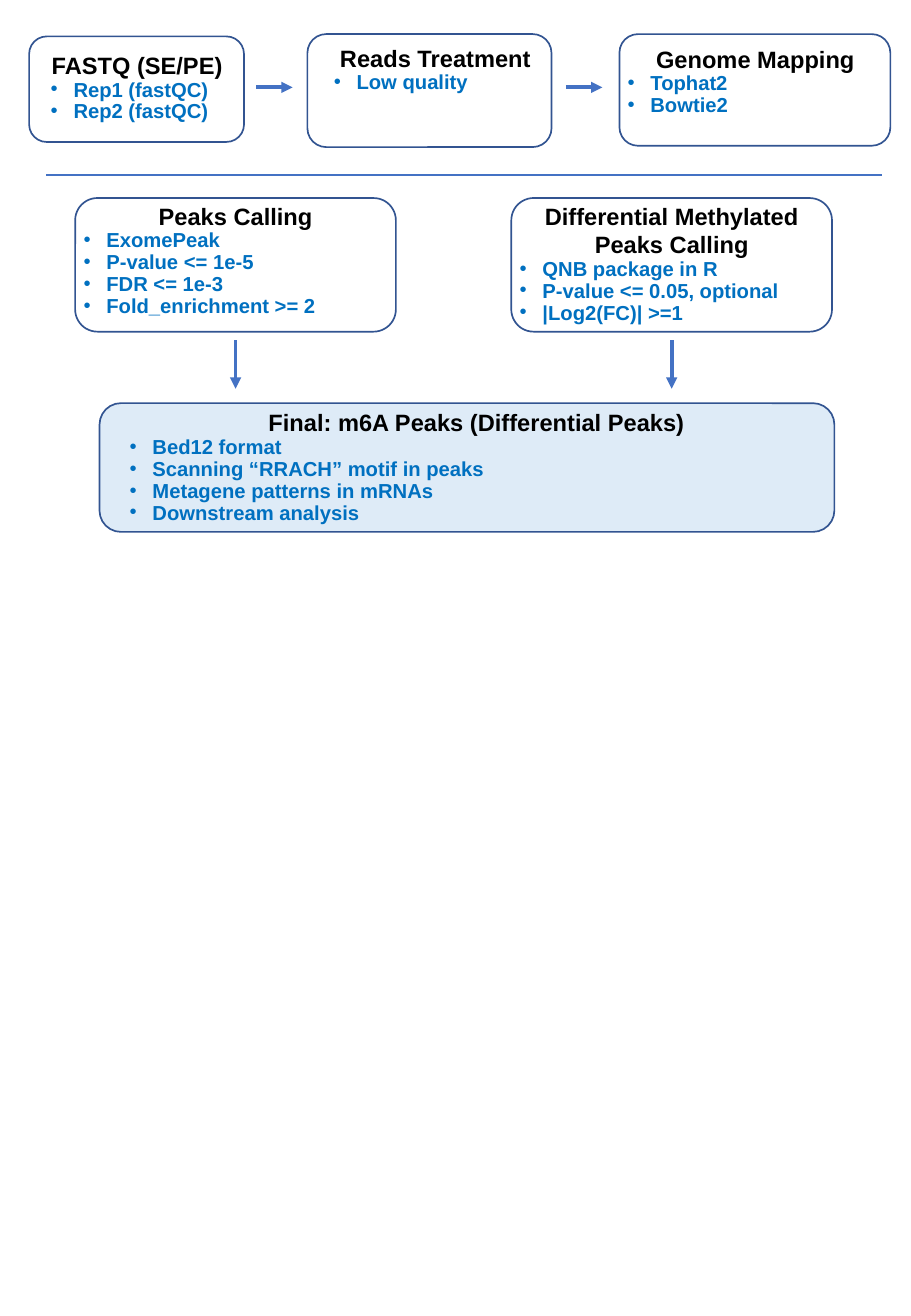
from pptx import Presentation
from pptx.dml.color import RGBColor
from pptx.enum.shapes import MSO_CONNECTOR as Connector, MSO_SHAPE as Shape
from pptx.enum.text import MSO_AUTO_SIZE as AutoSize, PP_ALIGN as Align
from pptx.oxml.ns import qn
from pptx.util import Pt
from lxml.etree import SubElement


def color(value):
    return RGBColor.from_string(value)


def apply(target, values):
    for name, value in values.items():
        setattr(target, name, value)


class Flowchart:
    outline, arrow, panel = "325491", "4472C4", "DEEBF7"
    heading_font = {"name": "Arial", "size": Pt(14), "bold": True}
    item_font = {"name": "Arial", "size": Pt(12), "bold": True}
    heading_color, item_color = "000000", "0070C0"
    indent = Pt(13.5)

    def __init__(self, slide):
        self.slide = slide

    def step(self, frame, text_frame, heading, items, wrap=True, fill=None):
        group = self.slide.shapes.add_group_shape()
        self.box(group, frame, fill)
        self.text(group, text_frame, heading, items, wrap)

    def box(self, group, frame, fill):
        shape = group.shapes.add_shape(Shape.ROUNDED_RECTANGLE, *map(Pt, frame))
        shape.shadow.inherit = False
        if fill:
            shape.fill.solid()
            shape.fill.fore_color.rgb = color(fill)
        else:
            shape.fill.background()
        shape.line.color.rgb = color(self.outline)
        shape.line.width = Pt(1)

    def text(self, group, frame, heading, items, wrap):
        text_frame = group.shapes.add_textbox(*map(Pt, frame)).text_frame
        apply(text_frame, {"word_wrap": wrap, "auto_size": AutoSize.SHAPE_TO_FIT_TEXT})
        paragraph = text_frame.paragraphs[0]
        paragraph.alignment = Align.CENTER
        self.run(paragraph, heading, self.heading_font, self.heading_color)
        for item in items:
            paragraph = text_frame.add_paragraph()
            paragraph.line_spacing = Pt(13)
            self.bullet(paragraph)
            self.run(paragraph, item, self.item_font, self.item_color)

    def run(self, paragraph, text, font, font_color):
        run = paragraph.add_run()
        run.text = text
        apply(run.font, font)
        run.font.color.rgb = color(font_color)

    def bullet(self, paragraph):
        properties = paragraph._p.get_or_add_pPr()
        properties.set("marL", str(self.indent))
        properties.set("indent", str(-self.indent))
        SubElement(properties, qn("a:buFont"), typeface="Arial")
        SubElement(properties, qn("a:buChar"), char="•")

    def line(self, start, end, width=2.25, head=True):
        connector = self.slide.shapes.add_connector(
            Connector.STRAIGHT, *map(Pt, (*start, *end)))
        connector.line.color.rgb = color(self.arrow)
        connector.line.width = Pt(width)
        if head:
            SubElement(connector.line._get_or_add_ln(), qn("a:tailEnd"), type="triangle")
        SubElement(connector._element.spPr, qn("a:effectLst"))


presentation = Presentation()
apply(presentation, {"slide_width": Pt(540), "slide_height": Pt(780)})
chart = Flowchart(presentation.slides.add_slide(presentation.slide_layouts[6]))

chart.step((17.3, 21.6, 127.4, 62.6), (23, 26.6, 116.6, 50.4),
           "FASTQ (SE/PE)", ["Rep1 (fastQC)", "Rep2 (fastQC)"], wrap=False)
chart.step((182.2, 20.2, 144.7, 67), (190.8, 22.3, 134.6, 37.4),
           "Reads Treatment", ["Low quality"], wrap=False)
chart.step((367.2, 20.2, 160.6, 66.2), (365, 23, 165.6, 50.4),
           "Genome Mapping", ["Tophat2", "Bowtie2"])
for arrow_left in (151.9, 335.5):
    chart.line((arrow_left, 51.8), (arrow_left + 21.6, 51.8))

chart.line((27.4, 103.7), (522.7, 103.7), width=1.5, head=False)

calling_steps = [
    (44.6, 92.2, "Peaks Calling",
     ["ExomePeak", "P-value <= 1e-5", "FDR <= 1e-3", "Fold_enrichment >= 2"]),
    (303.1, 80.6, "Differential Methylated Peaks Calling",
     ["QNB package in R", "P-value <= 0.05, optional", "|Log2(FC)| >=1"]),
]
for left, text_height, heading, items in calling_steps:
    chart.step((left, 117.4, 190.1, 79.2), (left - 2.1, 115.9, 194.4, text_height),
               heading, items)
    center = left + 190.1 / 2
    chart.line((center, 201.6), (center, 230.4))

chart.step((59, 239, 435.6, 76.3), (69.8, 238.3, 425.5, 77),
           "Final: m6A Peaks (Differential Peaks)",
           ["Bed12 format", "Scanning “RRACH” motif in peaks",
            "Metagene patterns in mRNAs", "Downstream analysis"],
           fill=chart.panel)

presentation.save("out.pptx")
